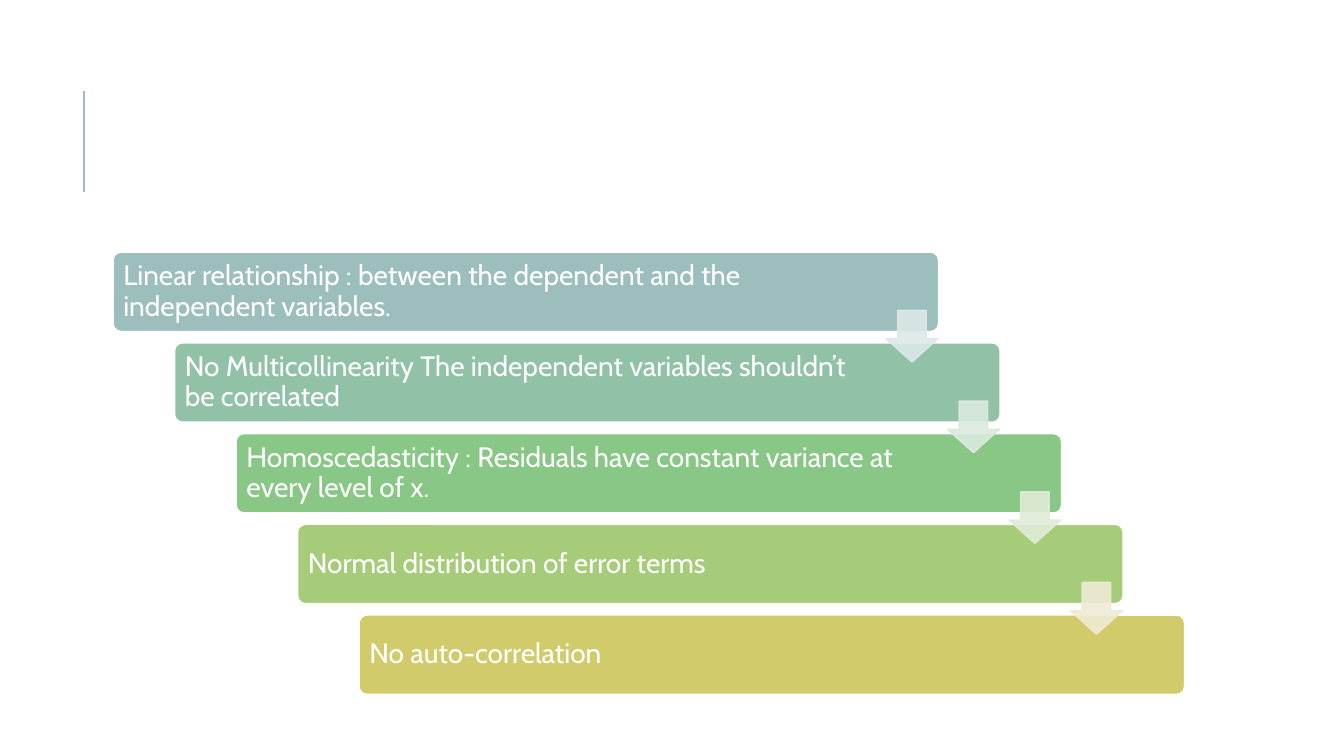
"""Build a slide with a descending staircase of regression assumptions."""
from dataclasses import dataclass

from lxml import etree
from pptx import Presentation
from pptx.dml.color import RGBColor
from pptx.enum.shapes import MSO_CONNECTOR, MSO_SHAPE
from pptx.enum.text import MSO_ANCHOR, PP_ALIGN
from pptx.oxml.ns import qn
from pptx.util import Inches, Pt

BAR = MSO_SHAPE.ROUNDED_RECTANGLE
ARROW = MSO_SHAPE.DOWN_ARROW
STRAIGHT = MSO_CONNECTOR.STRAIGHT
MIDDLE = MSO_ANCHOR.MIDDLE
LEFT = PP_ALIGN.LEFT

ASSUMPTIONS = [
    "Linear relationship : between the dependent and the independent variables.",
    "No Multicollinearity The independent variables shouldn’t be correlated",
    "Homoscedasticity : Residuals have constant variance at every level of x.",
    "Normal distribution of error terms",
    "No auto-correlation",
]


@dataclass(frozen=True)
class Theme:
    """Colours and type of the slide."""
    font: str = "Cabin"
    text_size: float = 20
    line_width: float = 1.25
    rule_width: float = 1.5
    white: str = "FFFFFF"
    rule: str = "9CBEBD"
    bars: tuple = ("9CBEBD", "91C2A8", "88C785", "A7CC79", "D2CB6C")
    arrows: tuple = ("DEE8E8", "DBEADF", "E0ECD8", "EEECD4")
    arrow_alpha: int = 90


THEME = Theme()
BAR_LEFT, BAR_TOP, BAR_WIDTH, BAR_HEIGHT = 1.12, 2.5, 8.19, 0.79
STEP_RIGHT, STEP_DOWN = 0.61, 0.9
ARROW_LEFT, ARROW_TOP, ARROW_SIZE = 8.79, 3.08, 0.51
INSET, FIRST_RIGHT_INSET, RIGHT_INSET = 0.08, 0.98, 1.21


def add_block(slide, kind, left, top, width, height, fill, line):
    """Add a filled preset shape without a shadow."""
    block = slide.shapes.add_shape(
        kind, Inches(left), Inches(top), Inches(width), Inches(height))
    block.shadow.inherit = False
    block.fill.solid()
    block.fill.fore_color.rgb = RGBColor.from_string(fill)
    block.line.color.rgb = RGBColor.from_string(line)
    block.line.width = Pt(THEME.line_width)
    return block


def add_bar(slide, index, text):
    """Add one step of the staircase with its wording."""
    bar = add_block(
        slide, BAR, BAR_LEFT + index * STEP_RIGHT, BAR_TOP + index * STEP_DOWN,
        BAR_WIDTH, BAR_HEIGHT, THEME.bars[index], THEME.white)
    bar.adjustments[0] = 0.1
    frame = bar.text_frame
    frame.word_wrap = True
    frame.vertical_anchor = MIDDLE
    frame.margin_left = frame.margin_top = frame.margin_bottom = Inches(INSET)
    frame.margin_right = Inches(RIGHT_INSET if index else FIRST_RIGHT_INSET)
    frame.text = text
    para = frame.paragraphs[0]
    para.alignment = LEFT
    para.line_spacing = 0.9
    font = para.runs[0].font
    font.name = THEME.font
    font.size = Pt(THEME.text_size)
    font.color.rgb = RGBColor.from_string(THEME.white)


def add_arrow(slide, index, color):
    """Add a translucent arrow leading to the next step."""
    arrow = add_block(
        slide, ARROW, ARROW_LEFT + index * STEP_RIGHT,
        ARROW_TOP + index * STEP_DOWN, ARROW_SIZE, ARROW_SIZE, color, color)
    arrow.adjustments[0] = 0.55
    arrow.adjustments[1] = 0.45
    for tint in arrow.element.spPr.iter(qn("a:srgbClr")):
        etree.SubElement(tint, qn("a:alpha"), val=str(THEME.arrow_alpha * 1000))


def add_rule(slide):
    """Add the vertical accent line beside the title area."""
    rule = slide.shapes.add_connector(
        STRAIGHT, Inches(0.83), Inches(1.9), Inches(0.83), Inches(0.9))
    rule.line.color.rgb = RGBColor.from_string(THEME.rule)
    rule.line.width = Pt(THEME.rule_width)
    etree.SubElement(rule.element.spPr, qn("a:effectLst"))


def main():
    """Assemble and save the deck."""
    deck = Presentation()
    deck.slide_width, deck.slide_height = Inches(13.33), Inches(7.5)
    slide = deck.slides.add_slide(deck.slide_layouts.get_by_name("Blank"))
    add_rule(slide)
    for index, text in enumerate(ASSUMPTIONS):
        add_bar(slide, index, text)
    for index, color in enumerate(THEME.arrows):
        add_arrow(slide, index, color)
    deck.save("out.pptx")


if __name__ == "__main__":
    main()
